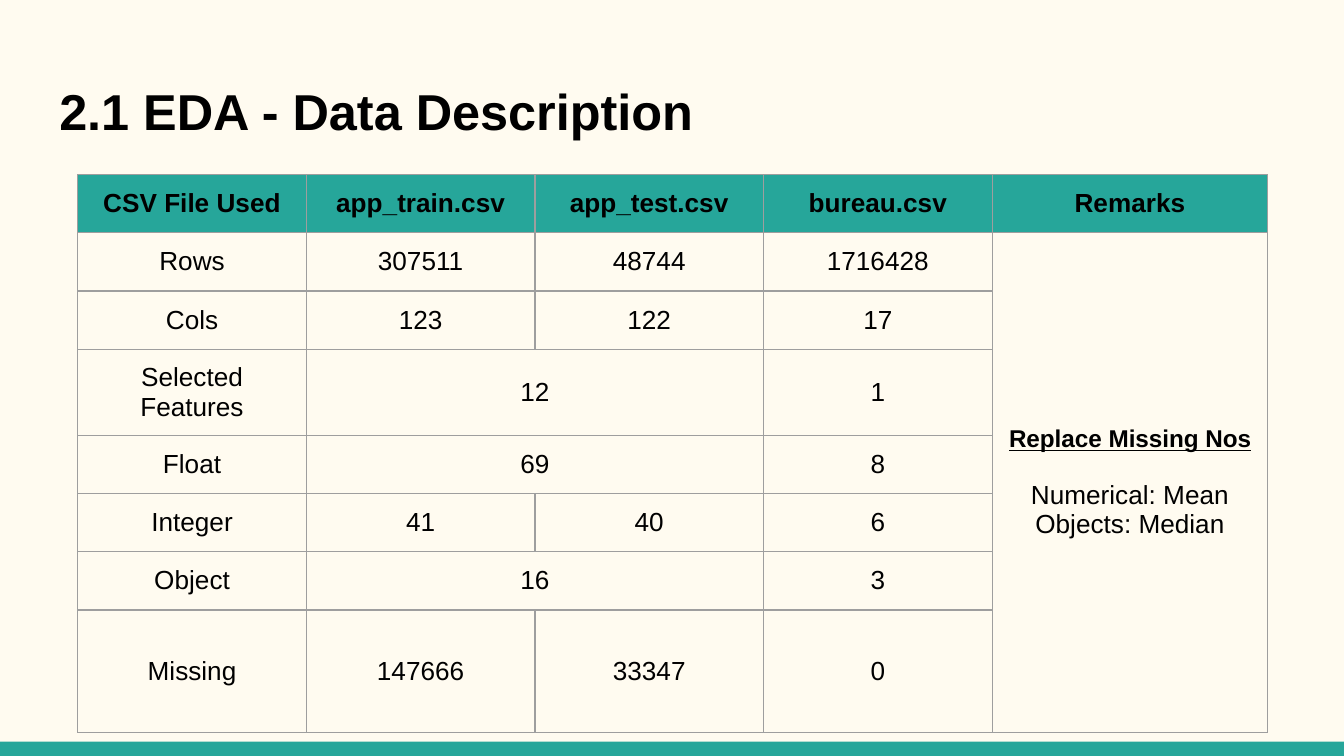
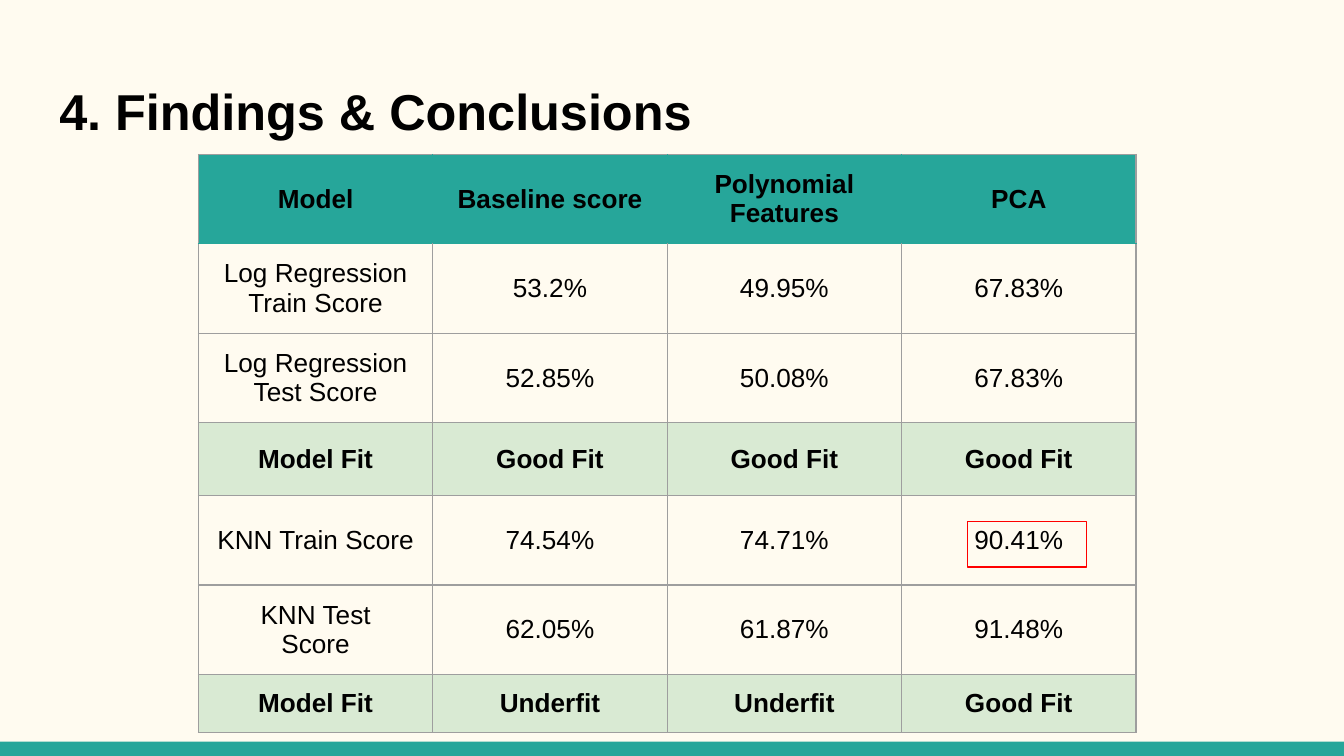
from lxml.etree import SubElement
from pptx import Presentation
from pptx.dml.color import RGBColor
from pptx.enum.shapes import MSO_SHAPE as Shape
from pptx.enum.text import MSO_ANCHOR as Anchor, MSO_AUTO_SIZE as AutoSize, PP_ALIGN as Align
from pptx.oxml.ns import qn
from pptx.util import Cm, Pt

COLOURS = {"page": "FFFBF0", "teal": "26A69A", "green": "D9EAD3",
           "grid": "9E9E9E", "text": "000000", "marker": "FF0000"}
FONT = "Arial"
PAGE_WIDTH, PAGE_HEIGHT, BAND_HEIGHT = 25.4, 14.29, 0.27
INSET = Cm(0.25)

# A None cell belongs to the merged cell on its left or above it.
DATA_DESCRIPTION = {
    "title": "2.1 EDA - Data Description",
    "origin": (1.47, 3.3),
    "columns": [4.32] * 4 + [5.21],
    "heights": [1.1, 1.1, 1.1, 1.63, 1.1, 1.1, 1.1, 2.31],
    "header_grid": "grid",
    "rows": [
        ("CSV File Used", "app_train.csv", "app_test.csv", "bureau.csv", "Remarks"),
        ("Rows", "307511", "48744", "1716428", None),
        ("Cols", "123", "122", "17", None),
        ("Selected Features", "12", None, "1", None),
        ("Float", "69", None, "8", None),
        ("Integer", "41", "40", "6", None),
        ("Object", "16", None, "3", None),
        ("Missing", "147666", "33347", "0", None),
    ],
    "merges": [((1, 4), (7, 4)), ((3, 1), (3, 2)), ((4, 1), (4, 2)), ((6, 1), (6, 2))],
}
REMARKS_HEADING = "Replace Missing Nos"
REMARKS = ["Numerical: Mean", "Objects: Median"]

FINDINGS = {
    "title": "4. Findings & Conclusions",
    "origin": (3.75, 2.92),
    "columns": [4.43] * 4,
    "heights": [1.69, 1.69, 1.69, 1.38, 1.69, 1.69, 1.1],
    "header_grid": "teal",
    "rows": [
        ("Model", "Baseline score", "Polynomial Features", "PCA"),
        ("Log Regression\nTrain Score", "53.2%", "49.95%", "67.83%"),
        ("Log Regression\nTest Score", "52.85%", "50.08%", "67.83%"),
        ("Model Fit", "Good Fit", "Good Fit", "Good Fit"),
        ("KNN Train Score", "74.54%", "74.71%", "90.41%"),
        ("KNN Test\nScore", "62.05%", "61.87%", "91.48%"),
        ("Model Fit", "Underfit", "Underfit", "Good Fit"),
    ],
    "merges": [],
}
BEST_SCORE_MARKER = (18.29, 9.86, 2.24, 0.86)


def colour(name):
    return RGBColor.from_string(COLOURS[name])


def add_span(para, text, size, bold=False, underline=False):
    span = para.add_run()
    span.text = text
    font = span.font
    font.name, font.size, font.bold = FONT, Pt(size), bold
    font.color.rgb = colour("text")
    if underline:
        font.underline = True


def set_insets(holder):
    holder.margin_left = holder.margin_right = INSET
    holder.margin_top = holder.margin_bottom = INSET


def add_rectangle(page, bounds, fill=None, line=None):
    box = page.shapes.add_shape(Shape.RECTANGLE, *map(Cm, bounds))
    box.shadow.inherit = False
    if fill:
        box.fill.solid()
        box.fill.fore_color.rgb = colour(fill)
    else:
        box.fill.background()
    if line:
        box.line.color.rgb = colour(line)
        box.line.width = Pt(0.75)
    else:
        box.line.fill.background()


def add_page(deck, title):
    """Add a title-only page with the bottom band and a formatted title."""
    page = deck.slides.add_slide(deck.slide_layouts[5])
    add_rectangle(page, (0, PAGE_HEIGHT - BAND_HEIGHT, PAGE_WIDTH, BAND_HEIGHT), fill="teal")
    box = page.shapes.title
    box.left, box.top, box.width, box.height = map(Cm, (0.87, 1.24, 23.67, 1.7))
    frame = box.text_frame
    frame.auto_size = AutoSize.NONE
    frame.vertical_anchor = Anchor.MIDDLE
    set_insets(frame)
    para = frame.paragraphs[0]
    para.alignment = Align.LEFT
    add_span(para, title, 27, bold=True)
    return page


def set_borders(cell, sides):
    """Draw the four cell edges; sides maps L, R, T and B to colour names."""
    properties = cell._tc.get_or_add_tcPr()
    for side, name in sides.items():
        edge = SubElement(properties, qn(f"a:ln{side}"), w=str(Pt(0.75)))
        fill = SubElement(edge, qn("a:solidFill"))
        SubElement(fill, qn("a:srgbClr"), val=COLOURS[name])


def border_colours(row, column, last_column, header_grid):
    sides = dict.fromkeys("LRTB", "grid")
    if row == 0:
        sides["B"] = header_grid
        if column > 0:
            sides["L"] = header_grid
        if column < last_column:
            sides["R"] = header_grid
    elif row == 1:
        sides["T"] = header_grid
    return sides


def row_fill(row, label):
    if row == 0:
        return "teal"
    return "green" if label == "Model Fit" else None


def add_lines(cell, lines, bold=False):
    frame = cell.text_frame
    for index, line in enumerate(lines):
        para = frame.add_paragraph() if index else frame.paragraphs[0]
        para.alignment = Align.CENTER
        add_span(para, line, 14, bold)


def add_grid(page, content):
    rows, columns, heights = content["rows"], content["columns"], content["heights"]
    left, top = content["origin"]
    bounds = map(Cm, (left, top, sum(columns), sum(heights)))
    table = page.shapes.add_table(len(rows), len(columns), *bounds).table
    table.first_row = table.horz_banding = False
    for column, width in zip(table.columns, columns):
        column.width = Cm(width)
    for row, height in zip(table.rows, heights):
        row.height = Cm(height)
    for r, values in enumerate(rows):
        fill = row_fill(r, values[0])
        for c, value in enumerate(values):
            cell = table.cell(r, c)
            cell.vertical_anchor = Anchor.MIDDLE
            set_insets(cell)
            set_borders(cell, border_colours(r, c, len(columns) - 1, content["header_grid"]))
            if fill:
                cell.fill.solid()
                cell.fill.fore_color.rgb = colour(fill)
            else:
                cell.fill.background()
            if value:
                add_lines(cell, value.split("\n"), bold=bool(fill))
    for first, last in content["merges"]:
        table.cell(*first).merge(table.cell(*last))
    return table


def add_remarks(cell):
    heading = cell.text_frame.paragraphs[0]
    heading.alignment = Align.CENTER
    heading.space_after = Pt(15)
    add_span(heading, REMARKS_HEADING, 13, bold=True, underline=True)
    for remark in REMARKS:
        para = cell.text_frame.add_paragraph()
        para.alignment = Align.CENTER
        add_span(para, remark, 14)


def main():
    deck = Presentation()
    deck.slide_width, deck.slide_height = Cm(PAGE_WIDTH), Cm(PAGE_HEIGHT)
    backdrop = deck.slide_master.background.fill
    backdrop.solid()
    backdrop.fore_color.rgb = colour("page")

    page = add_page(deck, DATA_DESCRIPTION["title"])
    table = add_grid(page, DATA_DESCRIPTION)
    add_remarks(table.cell(1, 4))

    page = add_page(deck, FINDINGS["title"])
    add_grid(page, FINDINGS)
    add_rectangle(page, BEST_SCORE_MARKER, line="marker")

    deck.save("out.pptx")


if __name__ == "__main__":
    main()
